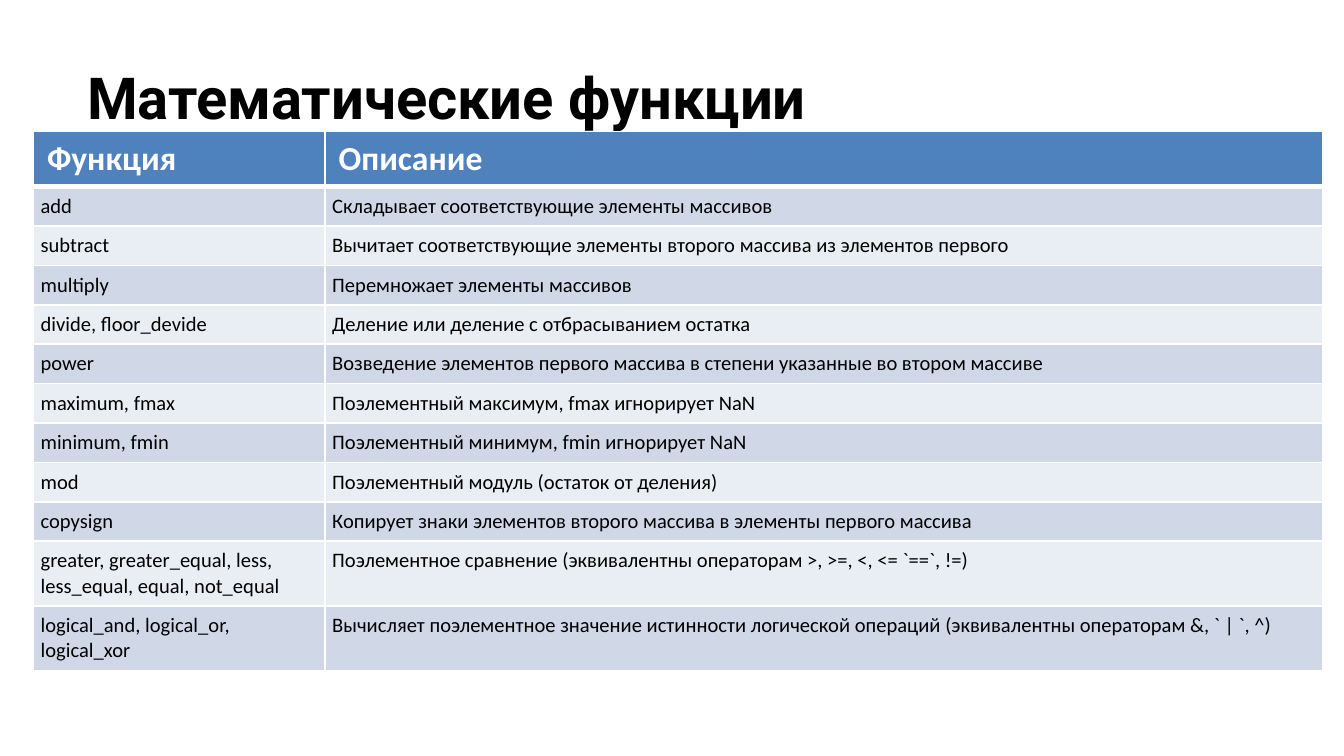
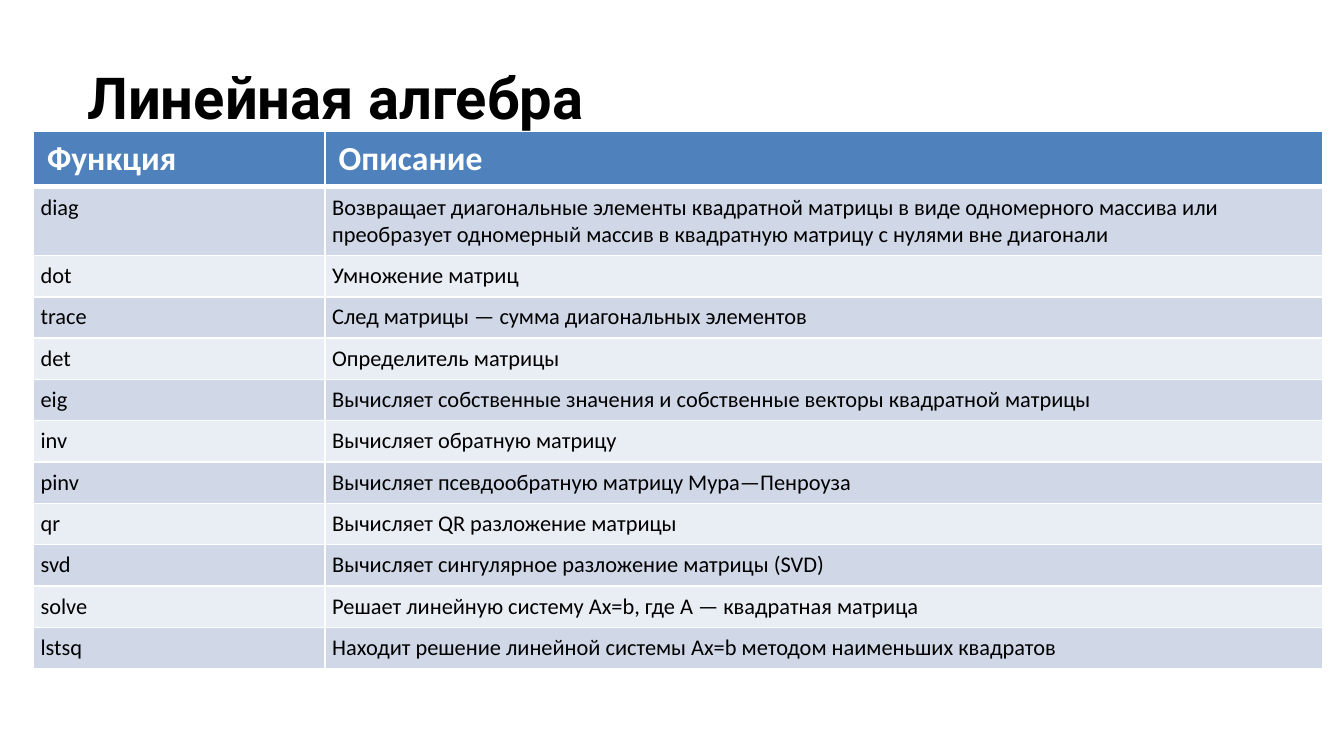
from dataclasses import dataclass

from lxml import etree
from pptx import Presentation, util as u
from pptx.dml import color
from pptx.enum import text
from pptx.oxml import ns


@dataclass(frozen=True)
class Theme:
    wide: float = 10
    high: float = 10 * 9 / 16
    black: str = "000000"
    white: str = "FFFFFF"
    blue: str = "4F81BD"
    bands: tuple = ("D0D8E8", "E9EDF4")
    face: str = "Calibri"
    title_face: str = "Roboto"
    title_size: int = 31
    head_size: int = 18
    thin: int = 1
    thick: int = 3
    pad: float = 3.75
    head_high: float = 0.41
    row_high: float = 0.24
    cols: tuple = (2.17, 7.42)


T = Theme()
HEAD = ("Функция", "Описание")

MATH = [
    ("add", "Складывает соответствующие элементы массивов"),
    ("subtract", "Вычитает соответствующие элементы второго массива из элементов первого"),
    ("multiply", "Перемножает элементы массивов"),
    ("divide, floor_devide", "Деление или деление с отбрасыванием остатка"),
    ("power", "Возведение элементов первого массива в степени указанные во втором массиве"),
    ("maximum, fmax", "Поэлементный максимум, fmax игнорирует NaN"),
    ("minimum, fmin", "Поэлементный минимум, fmin игнорирует NaN"),
    ("mod", "Поэлементный модуль (остаток от деления)"),
    ("copysign", "Копирует знаки элементов второго массива в элементы первого массива"),
    ("greater, greater_equal, less, \nless_equal, equal, not_equal",
     "Поэлементное сравнение (эквивалентны операторам >, >=, <, <= `==`, !=)"),
    ("logical_and, logical_or, \nlogical_xor",
     "Вычисляет поэлементное значение истинности логической операций "
     "(эквивалентны операторам &, ` | `, ^)"),
]

ALGEBRA = [
    ("diag", "Возвращает диагональные элементы квадратной матрицы в виде одномерного массива "
     "или преобразует одномерный массив в квадратную матрицу с нулями вне диагонали"),
    ("dot", "Умножение матриц"),
    ("trace", "След матрицы — сумма диагональных элементов"),
    ("det", "Определитель матрицы"),
    ("eig", "Вычисляет собственные значения и собственные векторы квадратной матрицы"),
    ("inv", "Вычисляет обратную матрицу"),
    ("pinv", "Вычисляет псевдообратную матрицу Мура—Пенроуза"),
    ("qr", "Вычисляет QR разложение матрицы"),
    ("svd", "Вычисляет сингулярное разложение матрицы (SVD)"),
    ("solve", "Решает линейную систему Ax=b, где A — квадратная матрица"),
    ("lstsq", "Находит решение линейной системы Ax=b методом наименьших квадратов"),
]


def write(para, words, size, face, ink, bold=False):
    """Add words run by run, with a line break between lines."""
    for i, line in enumerate(words.split("\n")):
        if i:
            para.add_line_break()
        run = para.add_run()
        run.text = line
        run.font.size = u.Pt(size)
        run.font.name = face
        run.font.bold = bold
        run.font.color.rgb = color.RGBColor.from_string(ink)


def edge(cell, top, base):
    """Draw white borders, with the given top and bottom widths in points."""
    props = cell._tc.get_or_add_tcPr()
    for side, width in zip("LRTB", (T.thin, T.thin, top, base)):
        line = etree.SubElement(props, ns.qn(f"a:ln{side}"), w=str(u.Pt(width)))
        fill = etree.SubElement(line, ns.qn("a:solidFill"))
        etree.SubElement(fill, ns.qn("a:srgbClr"), val=T.white)


def paint(cell, shade):
    cell.fill.solid()
    cell.fill.fore_color.rgb = color.RGBColor.from_string(shade)


def inset(box, size):
    box.margin_left = box.margin_right = size
    box.margin_top = box.margin_bottom = size


def add_title(slide, words):
    title = slide.shapes.title
    title.left, title.top = u.Inches(0.55), u.Inches(0.36)
    title.width, title.height = u.Inches(9.32), u.Inches(1.2)
    frame = title.text_frame
    inset(frame, u.Inches(0.1))
    frame.vertical_anchor = text.MSO_ANCHOR.TOP
    frame.auto_size = text.MSO_AUTO_SIZE.NONE
    frame.word_wrap = True
    para = frame.paragraphs[0]
    para.alignment = text.PP_ALIGN.LEFT
    write(para, words, T.title_size, T.title_face, T.black, True)


def add_grid(slide, rows, size, high):
    """Add the function table; its rows grow to fit their text."""
    frame = slide.shapes.add_table(
        len(rows) + 1, len(T.cols), u.Inches(0.25), u.Inches(0.98),
        u.Inches(sum(T.cols)), u.Inches(high))
    grid = frame.table
    for col, width in zip(grid.columns, T.cols):
        col.width = u.Inches(width)
    for r, words in enumerate([HEAD] + rows):
        grid.rows[r].height = u.Inches(T.row_high if r else T.head_high)
        for c, word in enumerate(words):
            cell = grid.cell(r, c)
            para = cell.text_frame.paragraphs[0]
            edge(cell, T.thick if r == 1 else T.thin, T.thin if r else T.thick)
            if r == 0:
                paint(cell, T.blue)
                write(para, word, T.head_size, T.face, T.white, True)
            else:
                inset(cell, u.Pt(T.pad))
                paint(cell, T.bands[(r - 1) % 2])
                write(para, word, size, T.face, T.black)
    frame.width, frame.height = u.Inches(9.58), u.Inches(high)


def main():
    deck = Presentation()
    deck.slide_width, deck.slide_height = u.Inches(T.wide), u.Inches(T.high)
    pages = [
        ("Математические функции", MATH, 11, 3.94),
        ("Линейная алгебра", ALGEBRA, 12, 3.95),
    ]
    for title, rows, size, high in pages:
        slide = deck.slides.add_slide(deck.slide_layouts.get_by_name("Title Only"))
        add_title(slide, title)
        add_grid(slide, rows, size, high)
    deck.save("out.pptx")


if __name__ == "__main__":
    main()
